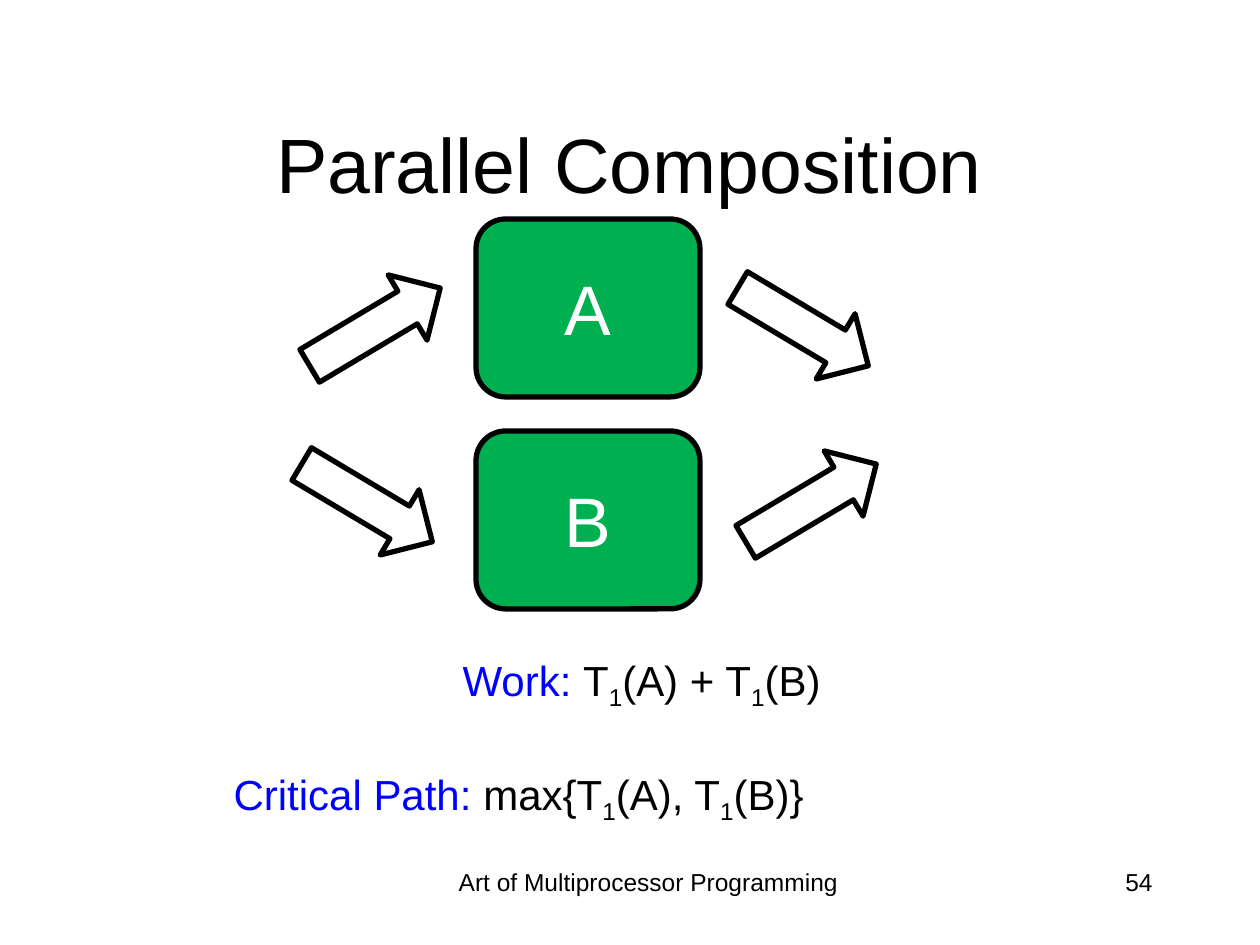
from pptx import Presentation
from pptx.dml.color import RGBColor
from pptx.enum.shapes import MSO_SHAPE
from pptx.enum.text import MSO_ANCHOR, PP_ALIGN
from pptx.util import Pt

EMU_PER_PX = 914400 / 126
COLORS = {"ink": "000000", "label": "0000FF", "task": "00B050", "task_text": "FFFFFF"}
FONT = "Arial"

TITLE = ("Parallel Composition", (94, 84, 1071, 158))
FOOTERS = [
    ("Art of Multiprocessor Programming", (431, 861, 435, 63), PP_ALIGN.CENTER),
    ("54", (903, 861, 262, 63), PP_ALIGN.RIGHT),
]
# Text between underscores is set as a subscript.
FORMULAS = [
    ("Work: ", "T_1_(A) + T_1_(B)", (449, 648, 384, 71)),
    ("Critical Path: ", "max{T_1_(A), T_1_(B)}", (220, 762, 596, 71)),
]
TASK_LEFT, TASK_SIZE = 476, (224, 178)
TASKS = [("A", 219), ("B", 431)]
ARROW_SIZE, TILT = (152, 76), 30.8
ARROWS = [  # left, top, rotation
    (299, 289, -TILT),
    (727, 289, TILT),
    (291, 465, TILT),
    (735, 465, -TILT),
]


def px(*lengths):
    return [round(length * EMU_PER_PX) for length in lengths]


def color(name):
    return RGBColor.from_string(COLORS[name])


def add_run(paragraph, text, size, color_name="ink", subscript=False):
    run = paragraph.add_run()
    run.text = text
    run.font.name = FONT
    run.font.size = Pt(size)
    run.font.color.rgb = color(color_name)
    if subscript:
        run.font._element.set("baseline", "-25000")


def add_text(slide, box, align, wrap=True):
    """Add a text box and return its first paragraph."""
    frame = slide.shapes.add_textbox(*px(*box)).text_frame
    frame.word_wrap = wrap
    paragraph = frame.paragraphs[0]
    paragraph.alignment = align
    return paragraph


def add_outlined(slide, preset, box):
    shape = slide.shapes.add_shape(preset, *px(*box))
    shape.shadow.inherit = False
    shape.fill.background()
    shape.line.color.rgb = color("ink")
    shape.line.width = Pt(3)
    return shape


def add_title(slide):
    text, box = TITLE
    title = slide.shapes.title
    title.left, title.top, title.width, title.height = px(*box)
    title.text_frame.vertical_anchor = MSO_ANCHOR.MIDDLE
    paragraph = title.text_frame.paragraphs[0]
    paragraph.alignment = PP_ALIGN.CENTER
    add_run(paragraph, text, 44)


def add_task(slide, name, top):
    task = add_outlined(slide, MSO_SHAPE.ROUNDED_RECTANGLE, (TASK_LEFT, top, *TASK_SIZE))
    task.fill.solid()
    task.fill.fore_color.rgb = color("task")
    task.text_frame.vertical_anchor = MSO_ANCHOR.MIDDLE
    paragraph = task.text_frame.paragraphs[0]
    paragraph.alignment = PP_ALIGN.CENTER
    add_run(paragraph, name, 40, "task_text")


def add_formula(slide, label, formula, box):
    paragraph = add_text(slide, box, PP_ALIGN.RIGHT, wrap=False)
    add_run(paragraph, label, 24, "label")
    for index, part in enumerate(formula.split("_")):
        add_run(paragraph, part, 24, subscript=index % 2 == 1)


def main():
    deck = Presentation()
    deck.slide_width, deck.slide_height = px(1260, 945)
    slide = deck.slides.add_slide(deck.slide_layouts[5])
    add_title(slide)
    for text, box, align in FOOTERS:
        add_run(add_text(slide, box, align), text, 14)
    for label, formula, box in FORMULAS:
        add_formula(slide, label, formula, box)
    for name, top in TASKS:
        add_task(slide, name, top)
    for left, top, rotation in ARROWS:
        arrow = add_outlined(slide, MSO_SHAPE.RIGHT_ARROW, (left, top, *ARROW_SIZE))
        arrow.rotation = rotation
    deck.save("out.pptx")


if __name__ == "__main__":
    main()
